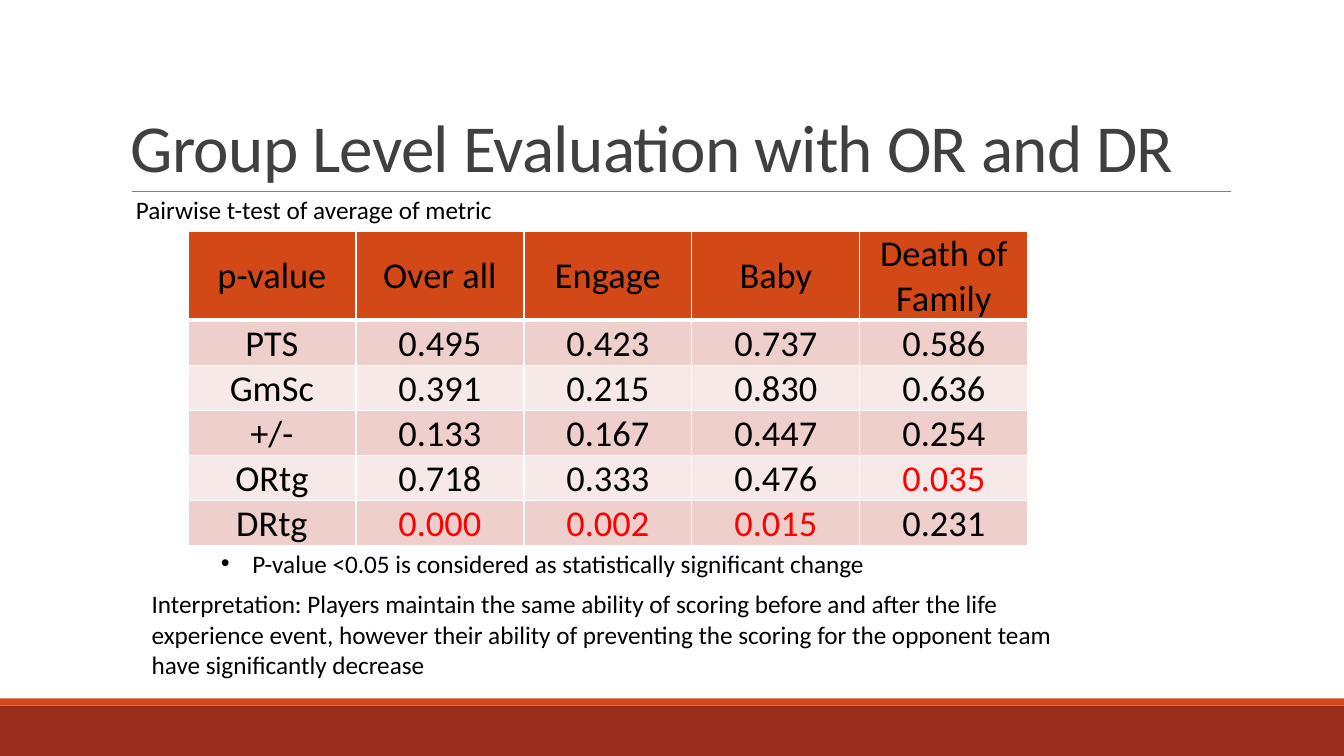
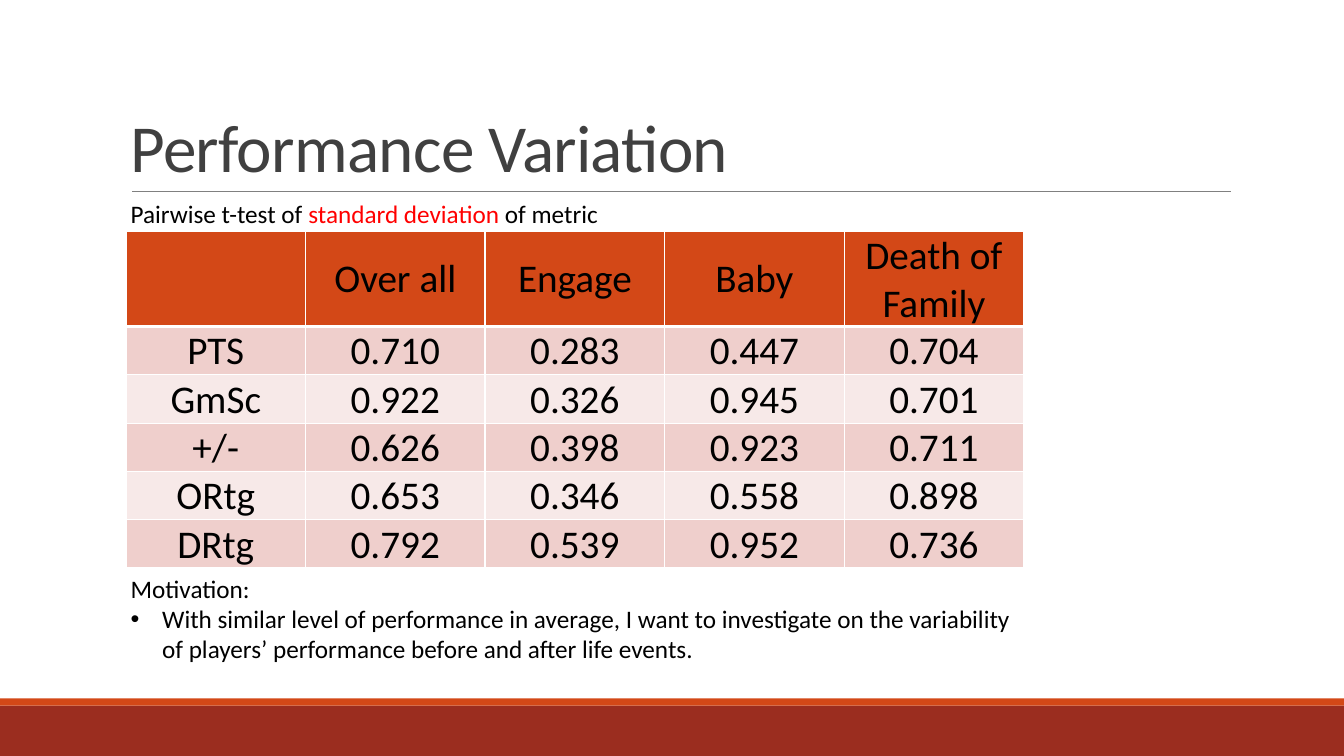
from dataclasses import dataclass

from lxml import etree
from pptx import Presentation
from pptx import util as u
from pptx.dml.color import RGBColor
from pptx.enum import shapes, text
from pptx.oxml import ns

EMU_PER_PX = 9525
SLIDE_WIDTH, SLIDE_HEIGHT = 1280, 720
FONT = "Calibri"
BODY_SIZE, TITLE_SIZE = 18, 48
BULLET_INDENT = 30
SIGNIFICANCE_LEVEL = 0.05

BLACK = RGBColor(0x00, 0x00, 0x00)
WHITE = RGBColor(0xFF, 0xFF, 0xFF)
RED = RGBColor(0xFF, 0x00, 0x00)
TITLE_GRAY = RGBColor(0x40, 0x40, 0x40)
RULE_GRAY = RGBColor(0x80, 0x80, 0x80)
ORANGE = RGBColor(0xD3, 0x48, 0x17)
BRICK = RGBColor(0x9B, 0x2D, 0x1F)
ROW_FILLS = (RGBColor(0xEF, 0xCF, 0xCC), RGBColor(0xF7, 0xE9, 0xE8))


@dataclass(frozen=True)
class Box:
    left: int
    top: int
    width: int
    height: int

    def emu(self) -> tuple[int, ...]:
        return tuple(map(px, (self.left, self.top, self.width, self.height)))


@dataclass(frozen=True)
class Run:
    text: str
    color: RGBColor = BLACK


@dataclass(frozen=True)
class Line:
    runs: tuple[Run, ...]
    bullet: bool = False


@dataclass(frozen=True)
class Note:
    box: Box
    lines: tuple[Line, ...]


@dataclass(frozen=True)
class PValueTable:
    left: int
    column_width: int
    header_height: int
    row_height: int
    size: int
    corner: str
    rows: tuple[tuple[str, ...], ...]


@dataclass(frozen=True)
class Page:
    title: str
    table: PValueTable
    notes: tuple[Note, ...]


TITLE_BOX = Box(115, 30, 1056, 152)
RULE_LEFT, RULE_RIGHT, RULE_TOP = 126, 1172, 182
TABLE_TOP = 220
BANDS = (
    (Box(0, 672, SLIDE_WIDTH, 48), BRICK),
    (Box(0, 665, SLIDE_WIDTH, 7), ORANGE),
)
GROUPS = ("Over all", "Engage", "Baby", "Death of Family")

PAGES = (
    Page(
        "Group Level Evaluation with OR and DR",
        PValueTable(179, 160, 85, 43, 26, "p-value", (
            ("PTS", "0.495", "0.423", "0.737", "0.586"),
            ("GmSc", "0.391", "0.215", "0.830", "0.636"),
            ("+/-", "0.133", "0.167", "0.447", "0.254"),
            ("ORtg", "0.718", "0.333", "0.476", "0.035"),
            ("DRtg", "0.000", "0.002", "0.015", "0.231"),
        )),
        (
            Note(Box(120, 180, 363, 38), (
                Line((Run("Pairwise t-test of average of metric"),)),
            )),
            Note(Box(201, 517, 748, 38), (
                Line((Run("P-value <0.05 is considered as statistically "
                          "significant change"),), bullet=True),
            )),
            Note(Box(135, 556, 878, 97), (
                Line((Run("Interpretation: Players maintain the same ability of "
                          "scoring before and after the life experience event, "
                          "however their ability of preventing the scoring for "
                          "the opponent team have significantly decrease"),)),
            )),
        ),
    ),
    Page(
        "Performance Variation",
        PValueTable(120, 171, 91, 46, 28, "", (
            ("PTS", "0.710", "0.283", "0.447", "0.704"),
            ("GmSc", "0.922", "0.326", "0.945", "0.701"),
            ("+/-", "0.626", "0.398", "0.923", "0.711"),
            ("ORtg", "0.653", "0.346", "0.558", "0.898"),
            ("DRtg", "0.792", "0.539", "0.952", "0.736"),
        )),
        (
            Note(Box(115, 184, 470, 38), (
                Line((Run("Pairwise t-test of "), Run("standard deviation ", RED),
                      Run("of metric"))),
            )),
            Note(Box(115, 541, 878, 97), (
                Line((Run("Motivation:"),)),
                Line((Run("With similar level of performance in average, I want "
                          "to investigate on the variability of players’ "
                          "performance before and after life events."),),
                     bullet=True),
            )),
        ),
    ),
)


def px(length: int) -> int:
    return length * EMU_PER_PX


def add_run(paragraph, content: Run, size: int):
    run = paragraph.add_run()
    run.text = content.text
    run.font.name = FONT
    run.font.size = u.Pt(size)
    run.font.color.rgb = content.color
    return run


def add_bullet(paragraph) -> None:
    properties = paragraph._p.get_or_add_pPr()
    properties.set("marL", str(px(BULLET_INDENT)))
    properties.set("indent", str(-px(BULLET_INDENT)))
    etree.SubElement(properties, ns.qn("a:buFont"), typeface="Arial")
    etree.SubElement(properties, ns.qn("a:buChar"), char="•")


def add_text_frame(slide, box: Box):
    frame = slide.shapes.add_textbox(*box.emu()).text_frame
    frame.word_wrap = True
    return frame


def add_note(slide, note: Note) -> None:
    frame = add_text_frame(slide, note.box)
    for index, line in enumerate(note.lines):
        paragraph = frame.add_paragraph() if index else frame.paragraphs[0]
        if line.bullet:
            add_bullet(paragraph)
        for content in line.runs:
            add_run(paragraph, content, BODY_SIZE)


def add_title(slide, title: str) -> None:
    frame = add_text_frame(slide, TITLE_BOX)
    frame.vertical_anchor = text.MSO_ANCHOR.BOTTOM
    paragraph = frame.paragraphs[0]
    paragraph.line_spacing = 0.85
    run = add_run(paragraph, Run(title, TITLE_GRAY), TITLE_SIZE)
    run._r.get_or_add_rPr().set("spc", "-50")


def add_frame(slide) -> None:
    """Draw the bottom bands and the rule under the title."""
    for box, color in BANDS:
        band = slide.shapes.add_shape(shapes.MSO_SHAPE.RECTANGLE, *box.emu())
        band.shadow.inherit = False
        band.fill.solid()
        band.fill.fore_color.rgb = color
        band.line.fill.background()
    rule = slide.shapes.add_connector(
        shapes.MSO_CONNECTOR.STRAIGHT,
        px(RULE_LEFT), px(RULE_TOP), px(RULE_RIGHT), px(RULE_TOP))
    rule.line.color.rgb = RULE_GRAY
    rule.line.width = u.Pt(0.5)
    etree.SubElement(rule._element.spPr, ns.qn("a:effectLst"))


def set_borders(cell, top: int, bottom: int) -> None:
    """Give a cell white borders, with top and bottom widths in points."""
    properties = cell._tc.get_or_add_tcPr()
    for side, width in (("L", 1), ("R", 1), ("T", top), ("B", bottom)):
        border = etree.SubElement(properties, ns.qn(f"a:ln{side}"),
                                  w=str(u.Pt(width)))
        fill = etree.SubElement(border, ns.qn("a:solidFill"))
        etree.SubElement(fill, ns.qn("a:srgbClr"), val=str(WHITE))


def is_significant(value: str) -> bool:
    return value.startswith("0.") and float(value) < SIGNIFICANCE_LEVEL


def fill_cell(cell, value: str, row: int, size: int) -> None:
    set_borders(cell, top=3 if row == 1 else 1, bottom=3 if row == 0 else 1)
    cell.fill.solid()
    cell.fill.fore_color.rgb = ROW_FILLS[(row - 1) % 2] if row else ORANGE
    cell.margin_left = cell.margin_right = cell.margin_top = px(1)
    cell.margin_bottom = 0
    cell.vertical_anchor = text.MSO_ANCHOR.MIDDLE
    paragraph = cell.text_frame.paragraphs[0]
    paragraph.alignment = text.PP_ALIGN.CENTER
    if value:
        color = RED if is_significant(value) else BLACK
        add_run(paragraph, Run(value, color), size)


def add_p_value_table(slide, content: PValueTable) -> None:
    rows = ((content.corner, *GROUPS), *content.rows)
    heights = (content.header_height, *[content.row_height] * len(content.rows))
    box = Box(content.left, TABLE_TOP,
              content.column_width * len(rows[0]), sum(heights))
    table = slide.shapes.add_table(len(rows), len(rows[0]), *box.emu()).table
    table.first_row = table.horz_banding = False
    for column in table.columns:
        column.width = px(content.column_width)
    for row, (values, height) in enumerate(zip(rows, heights)):
        table.rows[row].height = px(height)
        for column, value in enumerate(values):
            fill_cell(table.cell(row, column), value, row, content.size)


def main() -> None:
    presentation = Presentation()
    presentation.slide_width = px(SLIDE_WIDTH)
    presentation.slide_height = px(SLIDE_HEIGHT)
    for page in PAGES:
        slide = presentation.slides.add_slide(presentation.slide_layouts[6])
        add_frame(slide)
        add_title(slide, page.title)
        add_p_value_table(slide, page.table)
        for note in page.notes:
            add_note(slide, note)
    presentation.save("out.pptx")


if __name__ == "__main__":
    main()
